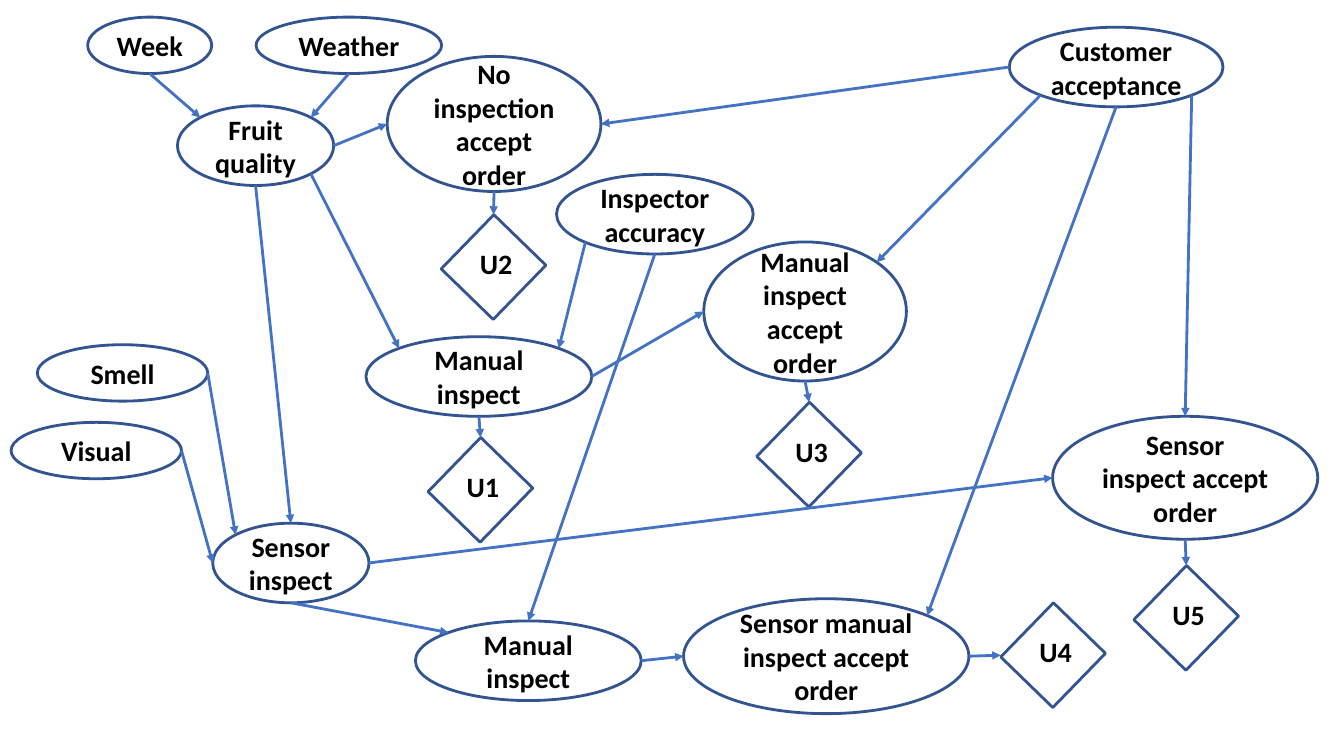
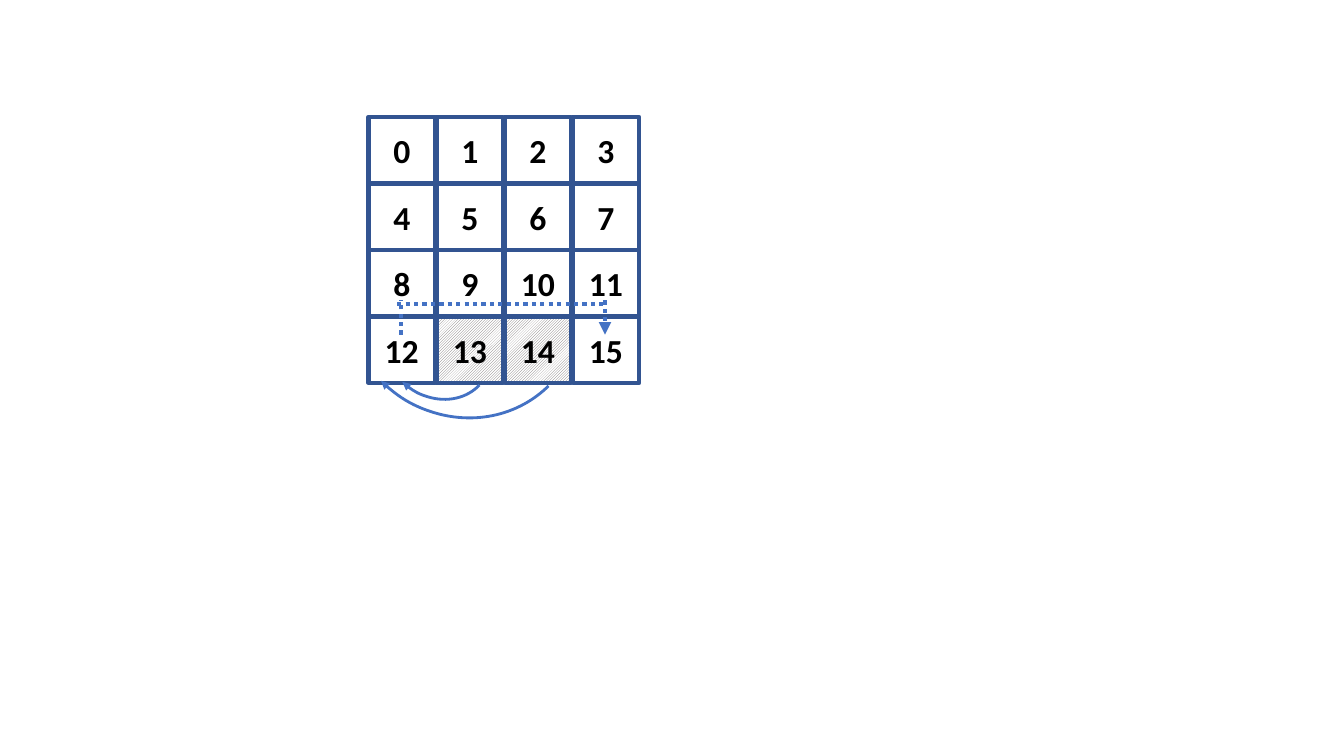
from lxml import etree
from pptx import Presentation
from pptx import util as u
from pptx.dml.color import RGBColor
from pptx.enum import dml, shapes, text
from pptx.oxml.ns import qn

NAVY = RGBColor(0x32, 0x54, 0x91)
BLUE = RGBColor(0x44, 0x72, 0xC4)
GREY = RGBColor(0x76, 0x71, 0x71)
BLACK = RGBColor(0, 0, 0)
WHITE = RGBColor(255, 255, 255)
FONT = "Calibri"
COLS, ROWS = 1333, 750

deck = Presentation()
deck.slide_width, deck.slide_height = u.Inches(13.33), u.Inches(7.5)
colw, rowh = deck.slide_width / COLS, deck.slide_height / ROWS
blank = deck.slide_layouts[6]


def draw(pool, kind, box, words="", size=20, width=2, hue=NAVY):
    x, y, w, h = box
    area = [int(n) for n in (x * colw, y * rowh, w * colw, h * rowh)]
    if kind is None:
        shape = pool.add_textbox(*area)
        shape.text_frame.word_wrap = False
    else:
        shape = pool.add_shape(kind, *area)
        shape.shadow.inherit = False
        shape.fill.background()
        shape.line.color.rgb = hue
        shape.line.width = u.Pt(width)
    if words:
        para = shape.text_frame.paragraphs[0]
        para.text = words
        para.alignment = text.PP_ALIGN.CENTER
        font = para.runs[0].font
        font.name, font.size, font.bold = FONT, u.Pt(size), True
        font.color.rgb = BLACK
    return shape


def link(pool, start, end, width=2, dash=None, arrow=True):
    line = pool.add_connector(
        shapes.MSO_CONNECTOR.STRAIGHT,
        int(start[0] * colw), int(start[1] * rowh),
        int(end[0] * colw), int(end[1] * rowh))
    line.line.color.rgb = BLUE
    line.line.width = u.Pt(width)
    if dash:
        line.line.dash_style = dash
    props = line.element.spPr
    if arrow:
        etree.SubElement(props.find(qn("a:ln")), qn("a:tailEnd"), type="triangle")
    etree.SubElement(props, qn("a:effectLst"))


OVAL = shapes.MSO_SHAPE.OVAL
RECT = shapes.MSO_SHAPE.RECTANGLE

pool = deck.slides.add_slide(blank).shapes
nodes = {
    "week": ("Week", 87, 17, 123, 56),
    "weather": ("Weather", 254, 17, 184, 56),
    "fruit": ("Fruit quality", 176, 105, 155, 79),
    "client": ("Customer acceptance", 1001, 27, 212, 79),
    "none": ("No inspection accept order", 384, 56, 212, 134),
    "smell": ("Smell", 37, 342, 169, 56),
    "visual": ("Visual", 11, 419, 169, 56),
    "sensor": ("Sensor inspect", 211, 519, 155, 79),
    "sense ok": ("Sensor inspect accept order", 1044, 413, 263, 122),
    "skill": ("Inspector accuracy", 552, 173, 195, 79),
    "manual": ("Manual inspect", 363, 334, 224, 79),
    "man ok": ("Manual inspect accept order", 698, 240, 201, 138),
    "second": ("Manual inspect", 412, 616, 224, 79),
    "both ok": ("Sensor manual inspect accept order", 678, 594, 283, 114),
}
diag = 0.5 ** 0.5
sides = {
    "n": (0, -1), "s": (0, 1), "w": (-1, 0), "e": (1, 0),
    "nw": (-diag, -diag), "ne": (diag, -diag),
    "sw": (-diag, diag), "se": (diag, diag),
}
spots = {}
for name, (words, x, y, w, h) in nodes.items():
    draw(pool, OVAL, (x, y, w, h), words)
    for side, (dx, dy) in sides.items():
        spots[name, side] = (x + w * (1 + dx) / 2, y + h * (1 + dy) / 2)

goals = {"U1": (439, 450), "U2": (452, 229), "U3": (765, 415),
         "U4": (1007, 614), "U5": (1139, 577)}
wide, high, reach = 75, 72, 52
for name, (x, y) in goals.items():
    team = pool.add_group_shape().shapes
    draw(team, RECT, (x, y, wide, high)).rotation = 314.2
    draw(team, None, (x + 13, y + 11, 54, 44), name)
    for side in ("n", "w"):
        dx, dy = sides[side]
        spots[name, side] = (x + wide / 2 + reach * dx, y + high / 2 + reach * dy)

edges = [
    ("weather", "s", "fruit", "ne"), ("week", "s", "fruit", "nw"),
    ("fruit", "e", "none", "w"), ("client", "w", "none", "e"),
    ("fruit", "s", "sensor", "n"), ("smell", "e", "sensor", "nw"),
    ("visual", "e", "sensor", "w"), ("sensor", "e", "sense ok", "w"),
    ("client", "se", "sense ok", "n"), ("fruit", "se", "manual", "nw"),
    ("skill", "sw", "manual", "ne"), ("client", "sw", "man ok", "ne"),
    ("manual", "e", "man ok", "w"), ("sensor", "s", "second", "nw"),
    ("skill", "s", "second", "n"), ("client", "s", "both ok", "ne"),
    ("second", "e", "both ok", "w"), ("none", "s", "U2", "n"),
    ("manual", "s", "U1", "n"), ("man ok", "s", "U3", "n"),
    ("both ok", "e", "U4", "w"), ("sense ok", "s", "U5", "n"),
]
for tail, out, head, into in edges:
    link(pool, spots[tail, out], spots[head, into])

pool = deck.slides.add_slide(blank).shapes
left, top, side, step = 365.5, 116, 66, 67.5
for num in range(16):
    row, col = divmod(num, 4)
    cell = draw(pool, RECT, (left + col * step, top + row * side, side, side),
                str(num), 24, 3)
    if num in (13, 14):
        cell.fill.patterned()
        cell.fill.pattern = dml.MSO_PATTERN.LIGHT_UPWARD_DIAGONAL
        cell.fill.fore_color.rgb = GREY
        cell.fill.back_color.rgb = WHITE

for box, turn in (((344, 175, 229, 243), 135.3), ((383, 284, 101, 116), 133.6)):
    arc = draw(pool, shapes.MSO_SHAPE.ARC, box, hue=BLUE)
    arc.rotation = turn
    arc.adjustments[0], arc.adjustments[1] = 162, 215.66
    etree.SubElement(arc.element.spPr.find(qn("a:ln")), qn("a:tailEnd"), type="triangle")

DOTS = dml.MSO_LINE.ROUND_DOT
link(pool, (398, 332), (398, 298), 3, DOTS, False)
link(pool, (600, 298), (600, 332), 3, DOTS)
link(pool, (394, 302), (600, 302), 3, DOTS, False)

deck.save("out.pptx")
